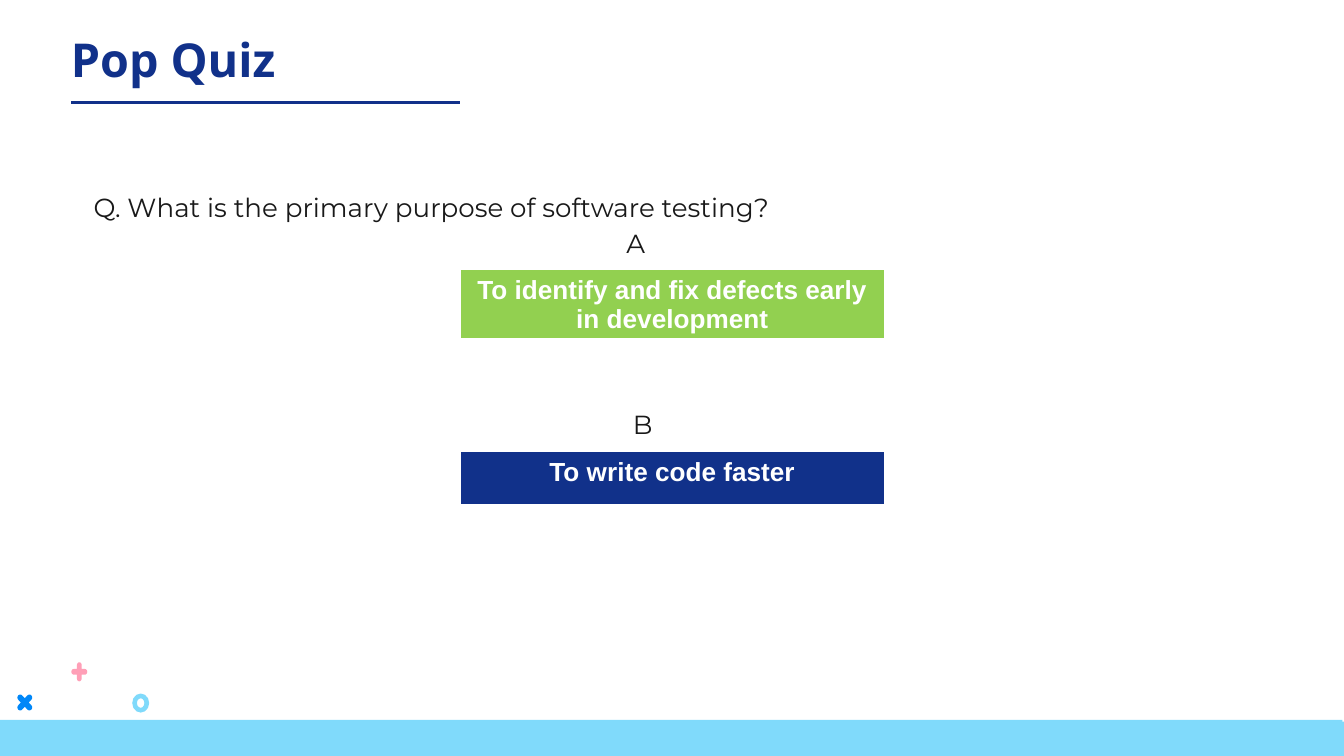
from math import cos, pi, sin

from lxml.etree import SubElement
from pptx import Presentation
from pptx.dml.color import RGBColor
from pptx.enum.shapes import MSO_CONNECTOR, MSO_SHAPE
from pptx.enum.text import MSO_ANCHOR, MSO_AUTO_SIZE, PP_ALIGN
from pptx.oxml.ns import qn
from pptx.util import Cm, Pt

NAVY, SKY, BLUE, PINK = "11318A", "80DAFB", "0087F8", "FF9FB7"
GREEN, WHITE, INK = "92D050", "FFFFFF", "191919"


def color(value):
    return RGBColor.from_string(value)


def cross_outline(turn, steps=8):
    """Points of a round-ended cross, scaled to reach 1 on each axis."""
    half = 0.3
    points = []
    for arm in range(4):
        angle = turn + arm * pi / 2
        cap = [-pi / 2 + pi * step / steps for step in range(steps + 1)]
        local = [(1 - half + half * cos(a), half * sin(a)) for a in cap]
        local.append((half, half))
        points += [(x * cos(angle) - y * sin(angle),
                    x * sin(angle) + y * cos(angle)) for x, y in local]
    reach = max(x for x, y in points)
    return [(x / reach, y / reach) for x, y in points]


class QuizSlide:
    inset = Cm(0.25)

    def __init__(self, page):
        self.page = page
        self.shapes = page.shapes

    def style(self, para, font, size, fill, bold=False):
        for span in para.runs:
            span.font.name = font
            span.font.size = Pt(size)
            span.font.bold = bold
            span.font.color.rgb = color(fill)

    def frame(self, box):
        frame = box.text_frame
        frame.word_wrap = True
        frame.auto_size = MSO_AUTO_SIZE.NONE
        frame.vertical_anchor = MSO_ANCHOR.TOP
        frame.margin_left = frame.margin_right = self.inset
        frame.margin_top = frame.margin_bottom = self.inset
        return frame

    def paint(self, shape, fill):
        shape.shadow.inherit = False
        shape.fill.solid()
        shape.fill.fore_color.rgb = color(fill)
        shape.line.fill.background()

    def title(self, text, left, top, width, height):
        box = self.shapes.title
        box.left, box.top, box.width, box.height = map(Cm, (left, top, width, height))
        frame = self.frame(box)
        frame.text = text
        para = frame.paragraphs[0]
        para.alignment = PP_ALIGN.LEFT
        self.style(para, "Open Sans", 25, NAVY, bold=True)

    def body(self, lines, left, top, width, height):
        """Each line is its text, left indent in cm and space before in points."""
        box = self.shapes.add_textbox(*map(Cm, (left, top, width, height)))
        frame = self.frame(box)
        frame.text = "\n".join(text for text, indent, gap in lines)
        for para, (text, indent, gap) in zip(frame.paragraphs, lines):
            para.line_spacing = 1.15
            para.space_before = Pt(gap)
            para._p.get_or_add_pPr().set("marL", str(Cm(indent)))
            self.style(para, "Montserrat", 14, INK)

    def rule(self, left, top, right):
        line = self.shapes.add_connector(
            MSO_CONNECTOR.STRAIGHT, Cm(left), Cm(top), Cm(right), Cm(top))
        line.line.color.rgb = color(NAVY)
        line.line.width = Pt(1.5)
        SubElement(line._element.spPr, qn("a:effectLst"))

    def preset(self, kind, left, top, width, height, fill):
        shape = self.shapes.add_shape(kind, *map(Cm, (left, top, width, height)))
        self.paint(shape, fill)
        return shape

    def cross(self, center_x, center_y, width, height, fill, turn=0):
        points = [(Cm(center_x + x * width / 2), Cm(center_y + y * height / 2))
                  for x, y in cross_outline(turn)]
        builder = self.shapes.build_freeform(*points[0])
        builder.add_line_segments(points[1:], close=True)
        self.paint(builder.convert_to_shape(), fill)

    def answer(self, text, left, top, width, height, fill):
        table = self.shapes.add_table(
            1, 1, *map(Cm, (left, top, width, height))).table
        cell = table.cell(0, 0)
        cell.text = text
        para = cell.text_frame.paragraphs[0]
        para.alignment = PP_ALIGN.CENTER
        self.style(para, "Arial", 14, WHITE, bold=True)
        properties = cell._tc.get_or_add_tcPr()
        for side, points in (("L", 1), ("R", 1), ("T", 1), ("B", 3)):
            edge = SubElement(properties, qn(f"a:ln{side}"), w=str(Pt(points)))
            SubElement(SubElement(edge, qn("a:solidFill")),
                       qn("a:srgbClr"), val=WHITE)
        cell.fill.solid()
        cell.fill.fore_color.rgb = color(fill)


def main():
    deck = Presentation()
    deck.slide_width, deck.slide_height = Cm(25.4), Cm(14.29)
    quiz = QuizSlide(deck.slides.add_slide(deck.slide_layouts[5]))

    # Footer band
    for left, top in ((-0.03, 13.61), (0, 13.64)):
        quiz.preset(MSO_SHAPE.RECTANGLE, left, top, 25.4, 0.69, SKY)

    # Heading
    quiz.title("Pop Quiz", 1.09, 0.33, 16.64, 1.6)
    quiz.rule(1.35, 1.93, 8.69)

    # Question and answer letters
    quiz.body([("Q. What is the primary purpose of software testing?", 0.43, 0),
               ("A", 10.5, 0),
               ("B", 10.62, 77.6)], 1.09, 3.28, 22.81, 7.98)

    # Small ornaments
    ring = quiz.preset(MSO_SHAPE.DONUT, 2.5, 13.11, 0.32, 0.36, SKY)
    ring.adjustments[0] = 0.28
    quiz.cross(0.47, 13.28, 0.28, 0.3, BLUE, turn=pi / 4)
    quiz.cross(1.5, 12.7, 0.3, 0.36, PINK)

    # Answers
    quiz.answer("To identify and fix defects early in development",
                8.69, 5.08, 8.03, 1.04, GREEN)
    quiz.answer("To write code faster", 8.69, 8.53, 8.03, 1.04, NAVY)

    deck.save("out.pptx")


if __name__ == "__main__":
    main()
